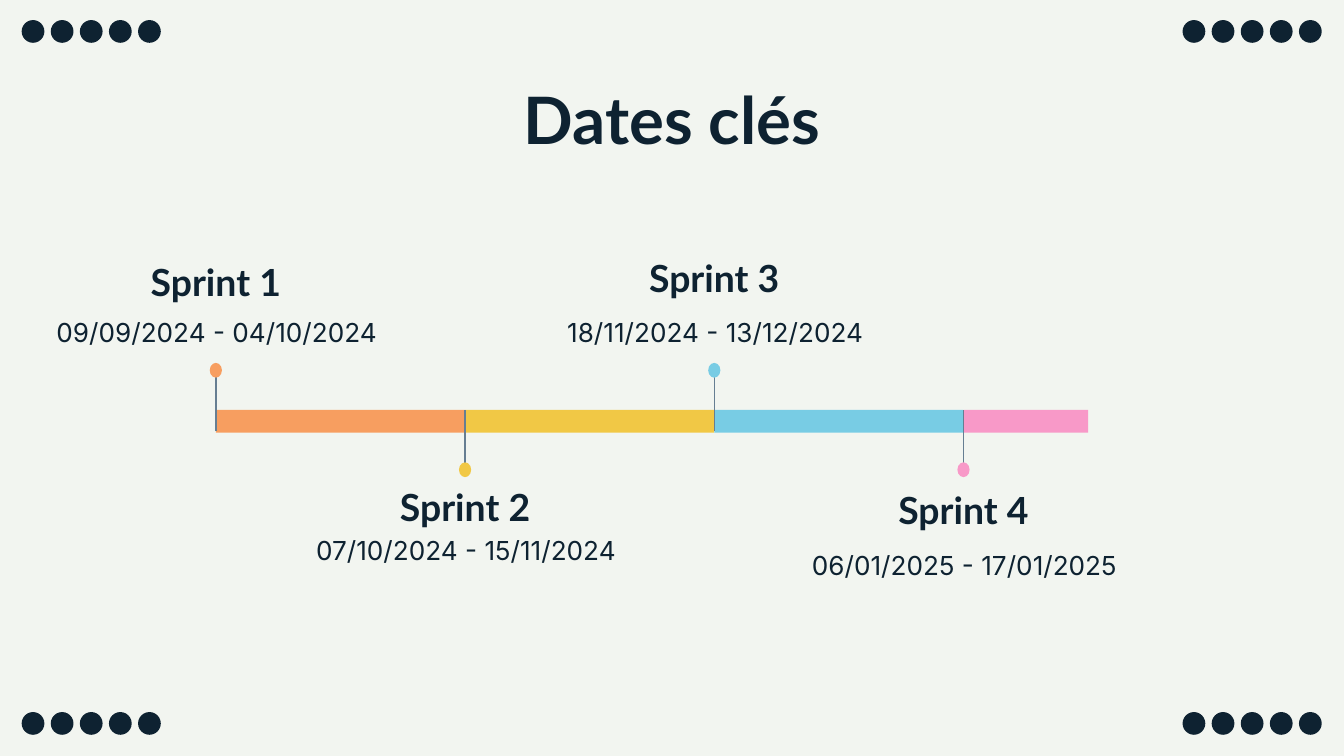
from dataclasses import dataclass

from lxml import etree
from pptx import Presentation
from pptx.dml.color import RGBColor
from pptx.enum.shapes import MSO_CONNECTOR, MSO_SHAPE
from pptx.enum.text import MSO_ANCHOR, PP_ALIGN
from pptx.oxml.ns import qn
from pptx.slide import Slide
from pptx.util import Cm, Pt

OVAL, RECTANGLE = MSO_SHAPE.OVAL, MSO_SHAPE.RECTANGLE
STRAIGHT = MSO_CONNECTOR.STRAIGHT
TOP, BOTTOM = MSO_ANCHOR.TOP, MSO_ANCHOR.BOTTOM
CENTER = PP_ALIGN.CENTER

COLORS = {
    "background": "F2F5F0",
    "ink": "0E2231",
    "stem": "667E92",
    "orange": "F79E60",
    "yellow": "F1C845",
    "blue": "78CCE4",
    "pink": "F899C8",
}

# Timeline geometry, in centimetres
BAR_LEFT, BAR_TOP, BAR_HEIGHT = 4.08, 7.75, 0.43
SPRINT_STEP = 4.71
PIN_WIDTH, PIN_HEIGHT = 0.23, 0.28

# Corner dots, in centimetres
DOT_SIZE, DOT_STEP, DOTS_PER_CORNER = 0.43, 0.55, 5


@dataclass(frozen=True)
class Sprint:
    name: str
    dates: str
    color: str
    above: bool
    name_top: float
    dates_top: float
    length: float = SPRINT_STEP


SPRINTS = [
    Sprint("Sprint 1", "09/09/2024 - 04/10/2024", "orange", True, 4.72, 5.74),
    Sprint("Sprint 2", "07/10/2024 - 15/11/2024", "yellow", False, 8.97, 9.86),
    Sprint("Sprint 3", "18/11/2024 - 13/12/2024", "blue", True, 4.65, 5.74),
    Sprint("Sprint 4", "06/01/2025 - 17/01/2025", "pink", False, 9.04, 10.13,
           SPRINT_STEP / 2),
]


def rgb(color: str) -> RGBColor:
    return RGBColor.from_string(COLORS[color])


def add_filled(slide: Slide, kind: MSO_SHAPE, left: float, top: float,
               width: float, height: float, color: str) -> None:
    shape = slide.shapes.add_shape(kind, Cm(left), Cm(top), Cm(width), Cm(height))
    shape.shadow.inherit = False
    shape.fill.solid()
    shape.fill.fore_color.rgb = rgb(color)
    shape.line.fill.background()


def add_stem(slide: Slide, x: float, start: float, end: float) -> None:
    stem = slide.shapes.add_connector(STRAIGHT, Cm(x), Cm(start), Cm(x), Cm(end))
    stem.line.color.rgb = rgb("stem")
    stem.line.width = Pt(0.75)
    etree.SubElement(stem.element.spPr, qn("a:effectLst"))


def add_label(slide: Slide, text: str, center: float, top: float, width: float,
              height: float, font: str, size: float, bold: bool = False,
              anchor: MSO_ANCHOR = TOP) -> None:
    label = slide.shapes.add_textbox(
        Cm(center - width / 2), Cm(top), Cm(width), Cm(height))
    frame = label.text_frame
    frame.word_wrap = True
    frame.vertical_anchor = anchor
    frame.margin_left = frame.margin_right = Cm(0.25)
    frame.margin_top = frame.margin_bottom = Cm(0.25)
    paragraph = frame.paragraphs[0]
    paragraph.text = text
    paragraph.alignment = CENTER
    paragraph.font.name = font
    paragraph.font.size = Pt(size)
    paragraph.font.bold = bold
    paragraph.font.color.rgb = rgb("ink")


def add_corner_dots(slide: Slide, left: float, top: float) -> None:
    for i in range(DOTS_PER_CORNER):
        add_filled(slide, OVAL, left + i * DOT_STEP, top, DOT_SIZE, DOT_SIZE, "ink")


def add_sprint(slide: Slide, sprint: Sprint, x: float) -> None:
    # Bar, stem and pin
    add_filled(slide, RECTANGLE, x, BAR_TOP, sprint.length, BAR_HEIGHT, sprint.color)
    if sprint.above:
        add_stem(slide, x, 7.04, 8.15)
        pin_top = 6.86
    else:
        add_stem(slide, x, 8.86, BAR_TOP)
        pin_top = 8.74
    add_filled(slide, OVAL, x - PIN_WIDTH / 2, pin_top, PIN_WIDTH, PIN_HEIGHT,
               sprint.color)
    # Dates and name
    add_label(slide, sprint.dates, x + 0.02, sprint.dates_top, 6.68, 0.91, "Inter", 14)
    add_label(slide, sprint.name, x, sprint.name_top, 6.22, 1.27, "Lato", 20,
              bold=True, anchor=BOTTOM)


def main() -> None:
    presentation = Presentation()
    presentation.slide_width = Cm(25.4)
    presentation.slide_height = Cm(14.29)
    slide = presentation.slides.add_slide(presentation.slide_layouts[6])
    slide.background.fill.solid()
    slide.background.fill.fore_color.rgb = rgb("background")

    # Dots in the four corners
    for left in (0.41, 22.35):
        for top in (0.38, 13.46):
            add_corner_dots(slide, left, top)

    # Title
    add_label(slide, "Dates clés", 12.7, 1.24, 21.41, 1.6, "Lato", 35, bold=True)

    # Timeline
    for i, sprint in enumerate(SPRINTS):
        add_sprint(slide, sprint, BAR_LEFT + i * SPRINT_STEP)

    presentation.save("out.pptx")


if __name__ == "__main__":
    main()
